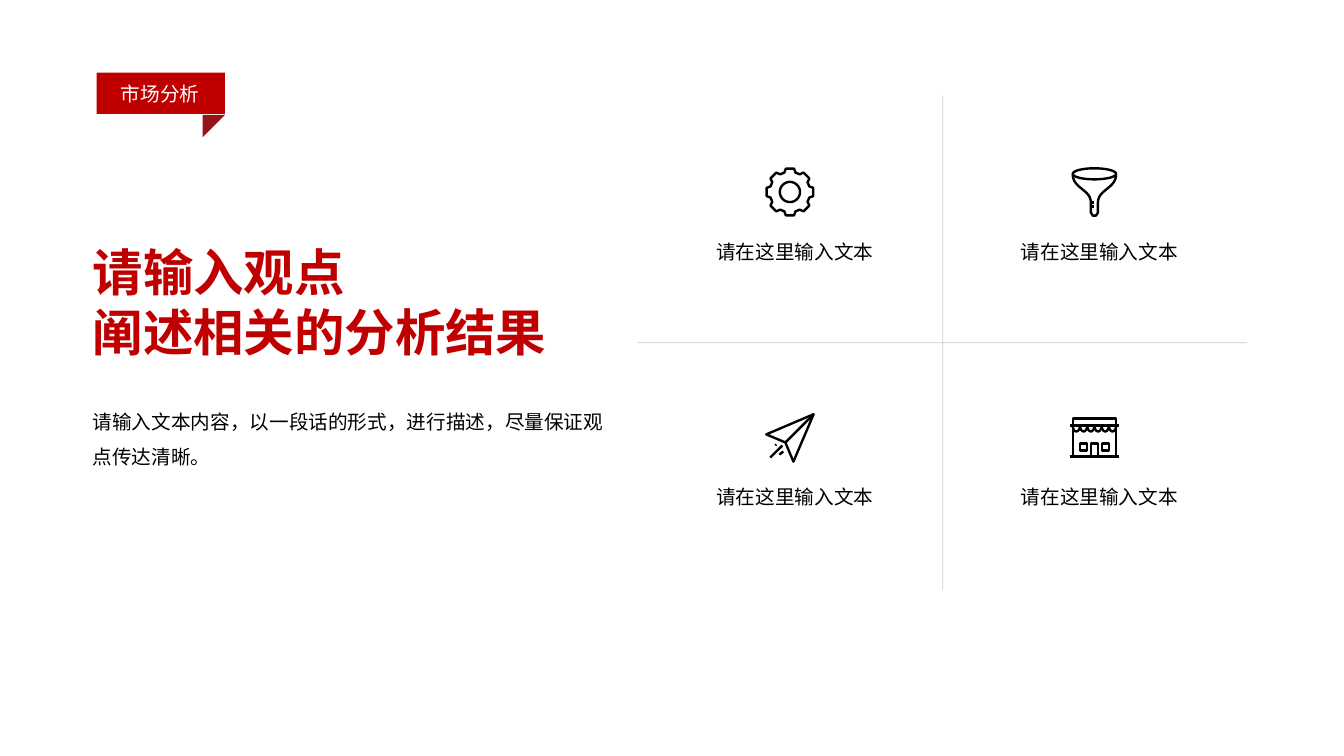
"""Build a market analysis slide with a headline and four icon cells."""
from dataclasses import dataclass
from math import cos, pi, radians, sin

from lxml import etree
from pptx import Presentation
from pptx.dml.color import RGBColor
from pptx.enum.shapes import MSO_CONNECTOR, MSO_SHAPE
from pptx.enum.text import MSO_AUTO_SIZE, PP_ALIGN
from pptx.oxml.ns import qn
from pptx.util import Pt

PX = 9144
RECT = MSO_SHAPE.RECTANGLE
FOLD = MSO_SHAPE.RIGHT_TRIANGLE
LINE = MSO_CONNECTOR.STRAIGHT
GROW = MSO_AUTO_SIZE.SHAPE_TO_FIT_TEXT
LEFT, MID = PP_ALIGN.LEFT, PP_ALIGN.CENTER


@dataclass(frozen=True)
class Theme:
    font: str = "Arial"
    red: RGBColor = RGBColor(0xC0, 0x00, 0x00)
    dark: RGBColor = RGBColor(0x94, 0x14, 0x17)
    black: RGBColor = RGBColor(0x00, 0x00, 0x00)
    white: RGBColor = RGBColor(0xFF, 0xFF, 0xFF)
    head: int = 36
    body: int = 14
    rule: float = 0.5
    stroke: float = 1.7


THEME = Theme()


def emu(*vals):
    return [round(val * PX) for val in vals]


def add_text(slide, box, text, color, size=THEME.body, bold=False,
             wrap=True, align=LEFT, space=None, pad=(10, 5, 10, 5)):
    frame = slide.shapes.add_textbox(*emu(*box)).text_frame
    frame.text = text
    frame.word_wrap = wrap
    frame.auto_size = GROW
    (frame.margin_left, frame.margin_top,
     frame.margin_right, frame.margin_bottom) = emu(*pad)
    for para in frame.paragraphs:
        para.alignment = align
        para.line_spacing = space
        font = para.font
        font.name, font.size, font.bold = THEME.font, Pt(size), bold
        font.color.rgb = color


def add_rule(slide, *ends):
    rule = slide.shapes.add_connector(LINE, *emu(*ends))
    rule.line.width = Pt(THEME.rule)
    rule.line.color.rgb = THEME.black
    props = rule._element.spPr
    etree.SubElement(props, qn("a:effectLst"))
    tone = props.find(".//" + qn("a:srgbClr"))
    etree.SubElement(tone, qn("a:alpha")).set("val", "20000")


def add_block(group, kind, box, color):
    block = group.shapes.add_shape(kind, *emu(*box))
    block.shadow.inherit = False
    block.fill.solid()
    block.fill.fore_color.rgb = color
    block.line.fill.background()
    return block


def add_icon(slide, left, top, strokes):
    paths = [[emu(left + x, top + y) for x, y in path] for path in strokes]
    pen = slide.shapes.build_freeform(*paths[0][0], scale=1.0)
    for path in paths:
        pen.move_to(*path[0])
        pen.add_line_segments(path[1:], close=path[0] == path[-1])
    icon = pen.convert_to_shape()
    icon.shadow.inherit = False
    icon.fill.background()
    icon.line.color.rgb = THEME.black
    icon.line.width = Pt(THEME.stroke)


def arc(x, y, wide, high, turn=2 * pi, steps=32):
    return [(x + wide * cos(turn * i / steps), y + high * sin(turn * i / steps))
            for i in range(steps + 1)]


def curve(*knots, steps=16):
    def mix(axis, t):
        a, b, c, d = (knot[axis] for knot in knots)
        u = 1 - t
        return a * u**3 + 3 * b * u * u * t + 3 * c * u * t * t + d * t**3

    return [(mix(0, i / steps), mix(1, i / steps)) for i in range(steps + 1)]


def frame(left, top, wide, high):
    right, low = left + wide, top + high
    return [(left, top), (right, top), (right, low), (left, low), (left, top)]


def gear():
    tooth = ((-16, 20), (-10, 23.5), (10, 23.5), (16, 20))
    rim = [(24.5 + r * cos(radians(45 * i + a)),
            24.5 + r * sin(radians(45 * i + a)))
           for i in range(8) for a, r in tooth]
    return [rim + rim[:1], arc(24.5, 24.5, 10, 10)]


def funnel():
    side = curve((1, 7), (1, 21), (19, 22), (19, 35)) + [(19, 45), (21, 48)]
    twin = [(45 - x, y) for x, y in reversed(side)]
    ticks = [[(20, y), (22, y)] for y in (35, 39)]
    return [arc(22.5, 6.5, 21.5, 5.5), side + twin, *ticks]


def plane():
    return [
        [(48, 1), (1, 21), (20, 29), (28, 48), (48, 1)],
        [(20, 29), (48, 1)],
        [(5, 44), (17, 32)],
        [(14, 41), (18, 38)],
        [(10, 32), (11, 31)],
    ]


def shop():
    step = 43 / 6
    awning = [arc(3 + step * (i + 0.5), 8, step / 2, 6, pi) for i in range(6)]
    return [
        [(3, 39), (3, 1), (46, 1), (46, 39)],
        [(0, 39), (49, 39)],
        [(0, 8), (49, 8)],
        [(21, 39), (21, 26), (28, 26), (28, 39)],
        frame(10, 26, 7, 7),
        frame(32, 26, 7, 7),
        *awning,
    ]


def add_badge(slide):
    group = slide.shapes.add_group_shape()
    add_block(group, RECT, (96, 72, 127, 41), THEME.red)
    add_block(group, FOLD, (201, 114, 22, 22), THEME.dark).rotation = 90
    add_text(slide, (110, 76, 99, 34), "市场分析", THEME.white, wrap=False)


def add_grid(slide):
    add_rule(slide, 935, 95, 935, 585)
    add_rule(slide, 632, 340, 1237, 340)
    icons = ((759, 166, gear), (1063, 166, funnel),
             (759, 410, plane), (1061, 414, shop))
    for i, (left, top, draw) in enumerate(icons):
        row, col = divmod(i, 2)
        add_icon(slide, left, top, draw())
        add_text(slide, (681 + 302 * col, 238 + 243 * row, 205, 24),
                 "请在这里输入文本", THEME.black, align=MID, pad=(10, 0, 0, 0))


def main():
    deck = Presentation()
    deck.slide_width, deck.slide_height = emu(1333, 750)
    slide = deck.slides.add_slide(deck.slide_layouts[6])
    add_badge(slide)
    add_text(slide, (82, 234, 475, 131), "请输入观点\n阐述相关的分析结果",
             THEME.red, THEME.head, bold=True, wrap=False)
    add_text(slide, (82, 390, 538, 77),
             "请输入文本内容，以一段话的形式，进行描述，尽量保证观点传达清晰。",
             THEME.black, space=1.5)
    add_grid(slide)
    deck.save("out.pptx")


if __name__ == "__main__":
    main()
